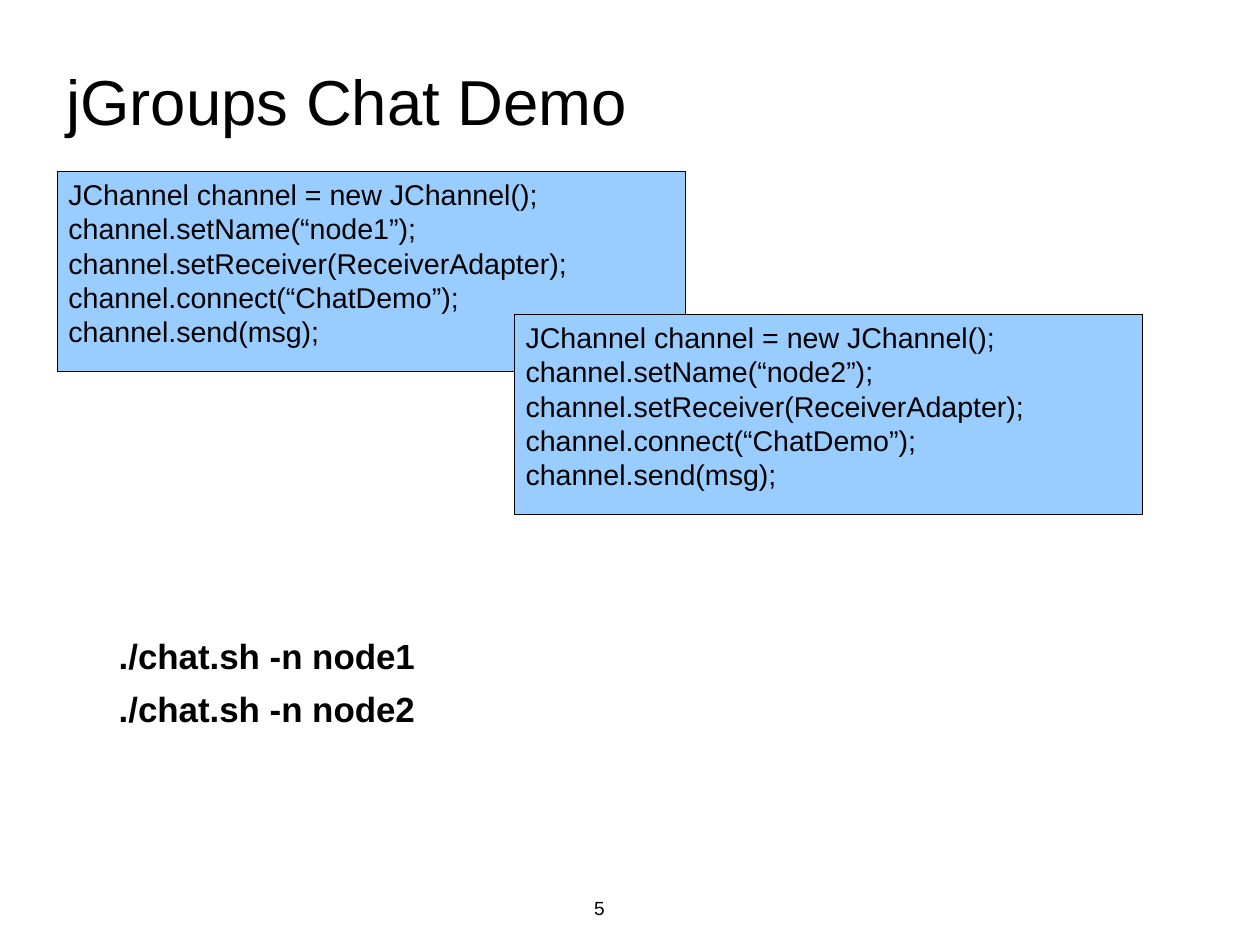
import pptx
import pptx.util
import pptx.dml.color
import pptx.enum.shapes
import pptx.enum.text

Inches = pptx.util.Inches
Pt = pptx.util.Pt
Align = pptx.enum.text.PP_ALIGN
Anchor = pptx.enum.text.MSO_ANCHOR


def colour(value):
    return pptx.dml.color.RGBColor.from_string(value)


def write(box, text, size, bold=False, align=Align.LEFT):
    frame = box.text_frame
    frame.word_wrap = True
    frame.vertical_anchor = Anchor.TOP
    frame.text = text
    for para in frame.paragraphs:
        para.alignment = align
        for span in para.runs:
            span.font.name = "Arial"
            span.font.size = Pt(size)
            span.font.bold = bold
            span.font.color.rgb = colour("000000")
    return frame


deck = pptx.Presentation()
deck.slide_width = pptx.util.Mm(280)
deck.slide_height = pptx.util.Mm(210)
page = deck.slides.add_slide(deck.slide_layouts[6])
shapes = page.shapes

number = shapes.add_textbox(Inches(3.74), Inches(7.79), Inches(3.01), Inches(0.3))
write(number, "5", 12, align=Align.CENTER)

title = shapes.add_textbox(Inches(0.58), Inches(0.25), Inches(9.92), Inches(1.25))
title_frame = write(title, "jGroups Chat Demo", 40)
title_frame.vertical_anchor = Anchor.MIDDLE
title_frame.margin_left = title_frame.margin_right = 0
title_frame.margin_top = title_frame.margin_bottom = 0

nodes = ["node1", "node2"]

for index, node in enumerate(nodes):
    code = shapes.add_shape(
        pptx.enum.shapes.MSO_SHAPE.RECTANGLE,
        Inches(0.5 + 4 * index), Inches(1.5 + 1.25 * index),
        Inches(5.5), Inches(1.75))
    code.shadow.inherit = False
    code.fill.solid()
    code.fill.fore_color.rgb = colour("99CCFF")
    code.line.color.rgb = colour("000000")
    code.line.width = Pt(0)
    lines = [
        "JChannel channel = new JChannel();",
        f"channel.setName(“{node}”);",
        "channel.setReceiver(ReceiverAdapter);",
        "channel.connect(“ChatDemo”);",
        "channel.send(msg);",
    ]
    write(code, "\n".join(lines), 18)

for index, node in enumerate(nodes):
    command = shapes.add_textbox(
        Inches(0.94), Inches(5.5 + 0.47 * index), Inches(2.81), Inches(0.64))
    write(command, f"./chat.sh -n {node}", 22, bold=True)

deck.save("out.pptx")
